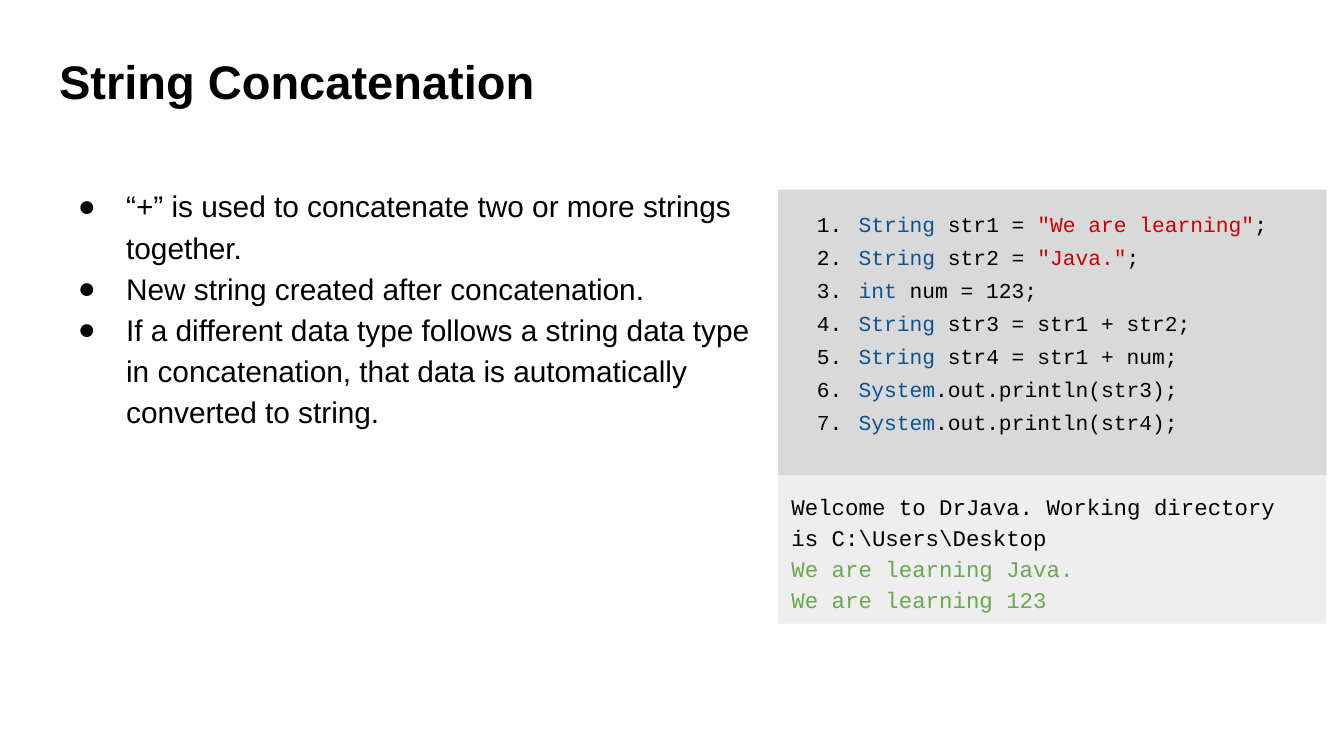
"""Build the slide on string concatenation in Java."""
from dataclasses import dataclass

from lxml import etree
from pptx import Presentation
from pptx import util as u
from pptx.dml.color import RGBColor
from pptx.enum import shapes, text
from pptx.oxml.ns import qn

WIDTH = u.Inches(10)
HEIGHT = WIDTH * 9 // 16
BLACK, BLUE, RED, GREEN = "000000", "0B5394", "CC0000", "6AA84F"
SANS, MONO = "Arial", "Courier New"
LEFT, SPLIT, RIGHT = 3.4, 57.9, 98.7
CODE_TOP, CODE_BOTTOM, OUTPUT_BOTTOM = 25.1, 62.93, 82.5

Line = list[tuple[str, str]]


@dataclass
class Box:
    """Edges in percent of the slide's width and height."""
    left: float
    top: float
    right: float
    bottom: float

    def frame(self) -> tuple[int, int, int, int]:
        return (round(self.left * WIDTH / 100), round(self.top * HEIGHT / 100),
                round((self.right - self.left) * WIDTH / 100),
                round((self.bottom - self.top) * HEIGHT / 100))


@dataclass
class Marker:
    tag: str
    attribute: str
    value: str
    font: str
    hanging: float


DOT = Marker("a:buChar", "char", "●", SANS, 0.36)
NUMBER = Marker("a:buAutoNum", "type", "arabicPeriod", MONO, 0.31)

TITLE_BOX = Box(LEFT, 5.16, 96.6, 16.36)
BODY_BOX = Box(LEFT, 22.4, SPLIT, 92.44)
CODE_BOX = Box(SPLIT, CODE_TOP, RIGHT, CODE_BOTTOM)
OUTPUT_BOX = Box(SPLIT, CODE_BOTTOM, RIGHT, OUTPUT_BOTTOM)

POINTS = [
    "“+” is used to concatenate two or more strings together.",
    "New string created after concatenation.",
    "If a different data type follows a string data type in concatenation, "
    "that data is automatically converted to string.",
]
CODE = [
    [("String ", BLUE), ("str1 = ", BLACK), ('"We are learning"', RED), (";", BLACK)],
    [("String ", BLUE), ("str2 = ", BLACK), ('"Java."', RED), (";", BLACK)],
    [("int ", BLUE), ("num = 123;", BLACK)],
    [("String ", BLUE), ("str3 = str1 + str2;", BLACK)],
    [("String ", BLUE), ("str4 = str1 + num;", BLACK)],
    [("System", BLUE), (".out.println(str3);", BLACK)],
    [("System", BLUE), (".out.println(str4);", BLACK)],
]
OUTPUT = [
    [("Welcome to DrJava. Working directory is C:\\Users\\Desktop", BLACK)],
    [("We are learning Java.", GREEN)],
    [("We are learning 123", GREEN)],
]


def color(value: str) -> RGBColor:
    return RGBColor.from_string(value)


def mark(p, marker: Marker) -> None:
    pPr = p._p.get_or_add_pPr()
    pPr.set("marL", str(u.Inches(0.5)))
    pPr.set("indent", str(-u.Inches(marker.hanging)))
    tint = etree.SubElement(pPr, qn("a:buClr"))
    etree.SubElement(tint, qn("a:srgbClr"), val=BLACK)
    etree.SubElement(pPr, qn("a:buFont"), typeface=marker.font)
    etree.SubElement(pPr, qn(marker.tag)).set(marker.attribute, marker.value)


def write(sp, lines: list[Line], *, size: float, font: str, bold: bool = False,
          spacing: float = 1.0, marker: Marker | None = None,
          fit=text.MSO_AUTO_SIZE.NONE) -> None:
    tf = sp.text_frame
    tf.word_wrap, tf.auto_size = True, fit
    tf.vertical_anchor = text.MSO_ANCHOR.TOP
    tf.margin_left = tf.margin_right = tf.margin_top = tf.margin_bottom = u.Inches(0.1)
    for i, line in enumerate(lines):
        p = tf.add_paragraph() if i else tf.paragraphs[0]
        p.alignment, p.line_spacing = text.PP_ALIGN.LEFT, spacing
        p.space_before = p.space_after = u.Pt(0)
        if marker:
            mark(p, marker)
        for words, ink in line:
            r = p.add_run()
            r.text = words
            r.font.size, r.font.name, r.font.bold = u.Pt(size), font, bold
            r.font.color.rgb = color(ink)


def panel(s, box: Box, fill: str):
    sp = s.shapes.add_shape(shapes.MSO_SHAPE.RECTANGLE, *box.frame())
    sp.shadow.inherit = False
    sp.fill.solid()
    sp.fill.fore_color.rgb = color(fill)
    sp.line.fill.background()
    return sp


def main() -> None:
    prs = Presentation()
    prs.slide_width, prs.slide_height = WIDTH, HEIGHT
    s = prs.slides.add_slide(prs.slide_layouts[5])

    title = s.shapes.title
    title.left, title.top, title.width, title.height = TITLE_BOX.frame()
    write(title, [[("String Concatenation", BLACK)]], size=25.2, font=SANS, bold=True)

    body = s.shapes.add_textbox(*BODY_BOX.frame())
    write(body, [[(point, BLACK)] for point in POINTS], size=16, font=SANS,
          spacing=1.15, marker=DOT)

    write(panel(s, CODE_BOX, "D9D9D9"), CODE, size=11.4, font=MONO,
          spacing=1.3, marker=NUMBER)
    write(panel(s, OUTPUT_BOX, "EEEEEE"), OUTPUT, size=12, font=MONO,
          spacing=1.15, fit=text.MSO_AUTO_SIZE.SHAPE_TO_FIT_TEXT)

    prs.save("out.pptx")


if __name__ == "__main__":
    main()
